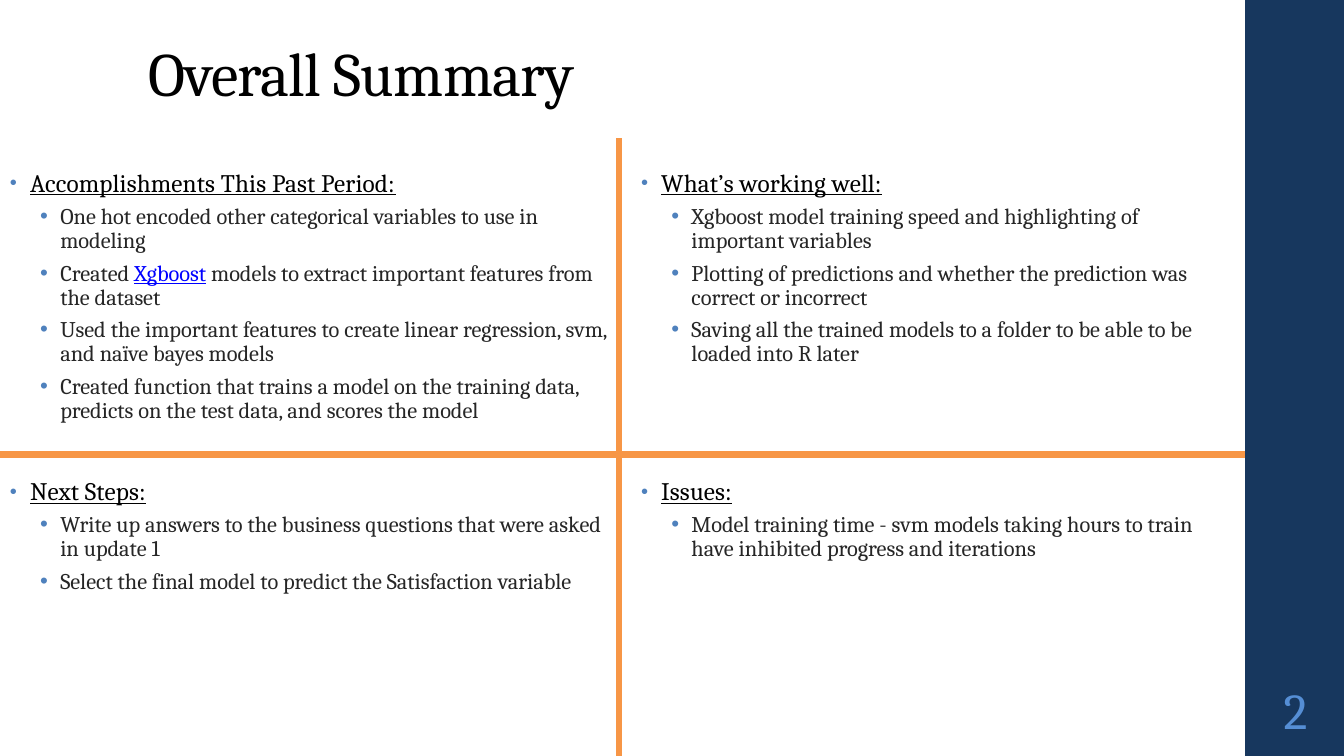
from lxml.etree import SubElement
from pptx import Presentation
from pptx.dml.color import RGBColor
from pptx.enum.shapes import MSO_CONNECTOR, MSO_SHAPE
from pptx.enum.text import MSO_ANCHOR, PP_ALIGN
from pptx.oxml.ns import qn
from pptx.util import Inches, Pt

TITLE = "Overall Summary"
PAGE = "2"
LINKED = "Xgboost"
QUADRANTS = [
    [("Accomplishments This Past Period:", [
        ["One hot encoded other categorical variables to use in modeling"],
        ["Created ", LINKED, " models to extract important features from the dataset"],
        ["Used the important features to create linear regression, svm, and naïve bayes models"],
        ["Created function that trains a model on the training data, "
         "predicts on the test data, and scores the model"],
    ]), ("What’s working well:", [
        ["Xgboost model training speed and highlighting of important variables"],
        ["Plotting of predictions and whether the prediction was correct or incorrect"],
        ["Saving all the trained models to a folder to be able to be loaded into R later"],
    ])],
    [("Next Steps:", [
        ["Write up answers to the business questions that were asked in update 1"],
        ["Select the final model to predict the Satisfaction variable"],
    ]), ("Issues:", [
        ["Model training time - svm models taking hours to train "
         "have inhibited progress and iterations"],
    ])],
]

FONT = "Cambria"
NAVY, ORANGE, BULLET, PAGE_BLUE = "17375E", "F79646", "4F81BD", "558ED5"
BLACK, GREY, LINK_BLUE = "000000", "262626", "0000FF"
SLIDE_W, SLIDE_H = 13.33, 7.5
BAR_X, BAR_W = 12.35, 1
COLUMNS = [(0, 6.26), (6.26, 6.09)]
ROWS = [(1.63, 2.8), (4.69, 2.7)]
DIVIDERS = [(6.14, 1.37, 6.14, SLIDE_H), (0, 4.51, BAR_X, 4.51)]


def rgb(color):
    return RGBColor.from_string(color)


def add_run(p, text, size, color, underline=False, spacing=0):
    r = p.add_run()
    r.text = text
    r.font.name, r.font.size = FONT, Pt(size)
    r.font.color.rgb = rgb(color)
    r.font.underline = underline
    if spacing:
        r.font._element.set("spc", str(spacing))


def add_text(s, x, y, w, h, anchor=MSO_ANCHOR.TOP):
    tf = s.shapes.add_textbox(Inches(x), Inches(y), Inches(w), Inches(h)).text_frame
    tf.word_wrap = True
    tf.vertical_anchor = anchor
    return tf


def format_bullet(p, level, indent, line, before, after, bullet_size):
    p.level = level
    p.line_spacing, p.space_before, p.space_after = line, Pt(before), Pt(after)
    pPr = p._p.get_or_add_pPr()
    pPr.set("marL", str(Inches(indent)))
    pPr.set("indent", str(Inches(-0.2)))
    SubElement(SubElement(pPr, qn("a:buClr")), qn("a:srgbClr")).set("val", BULLET)
    SubElement(pPr, qn("a:buSzPct")).set("val", str(bullet_size * 1000))
    SubElement(pPr, qn("a:buFont")).set("typeface", "Arial")
    SubElement(pPr, qn("a:buChar")).set("char", "•")


def add_quadrant(s, x, y, w, h, heading, items):
    tf = add_text(s, x, y, w, h)
    p = tf.paragraphs[0]
    format_bullet(p, 0, 0.2, 0.95, 0, 2, 80)
    add_run(p, heading, 18, BLACK, True, 10)
    for item in items:
        p = tf.add_paragraph()
        format_bullet(p, 1, 0.5, 0.9, 3, 3, 100)
        for text in item:
            linked = text == LINKED
            add_run(p, text, 16, LINK_BLUE if linked else GREY, linked)


def add_divider(s, x1, y1, x2, y2):
    line = s.shapes.add_connector(
        MSO_CONNECTOR.STRAIGHT, Inches(x1), Inches(y1), Inches(x2), Inches(y2))
    line.line.color.rgb = rgb(ORANGE)
    line.line.width = Pt(4.5)
    SubElement(line._element.spPr, qn("a:effectLst"))


def main():
    prs = Presentation()
    prs.slide_width, prs.slide_height = Inches(SLIDE_W), Inches(SLIDE_H)
    s = prs.slides.add_slide(prs.slide_layouts[6])

    bar = s.shapes.add_shape(
        MSO_SHAPE.RECTANGLE, Inches(BAR_X), 0, Inches(BAR_W), Inches(SLIDE_H))
    bar.shadow.inherit = False
    bar.fill.solid()
    bar.fill.fore_color.rgb = rgb(NAVY)
    bar.line.fill.background()

    p = add_text(s, 1.37, 0.03, 10.6, 1.45, MSO_ANCHOR.MIDDLE).paragraphs[0]
    p.line_spacing = 0.9
    add_run(p, TITLE, 44, BLACK, spacing=-50)

    p = add_text(s, BAR_X, 6.75, BAR_W, 0.65, MSO_ANCHOR.MIDDLE).paragraphs[0]
    p.alignment, p.line_spacing = PP_ALIGN.CENTER, 0.9
    add_run(p, PAGE, 36, PAGE_BLUE)

    for (y, h), row in zip(ROWS, QUADRANTS):
        for (x, w), (heading, items) in zip(COLUMNS, row):
            add_quadrant(s, x, y, w, h, heading, items)

    for ends in DIVIDERS:
        add_divider(s, *ends)

    prs.save("out.pptx")


if __name__ == "__main__":
    main()
